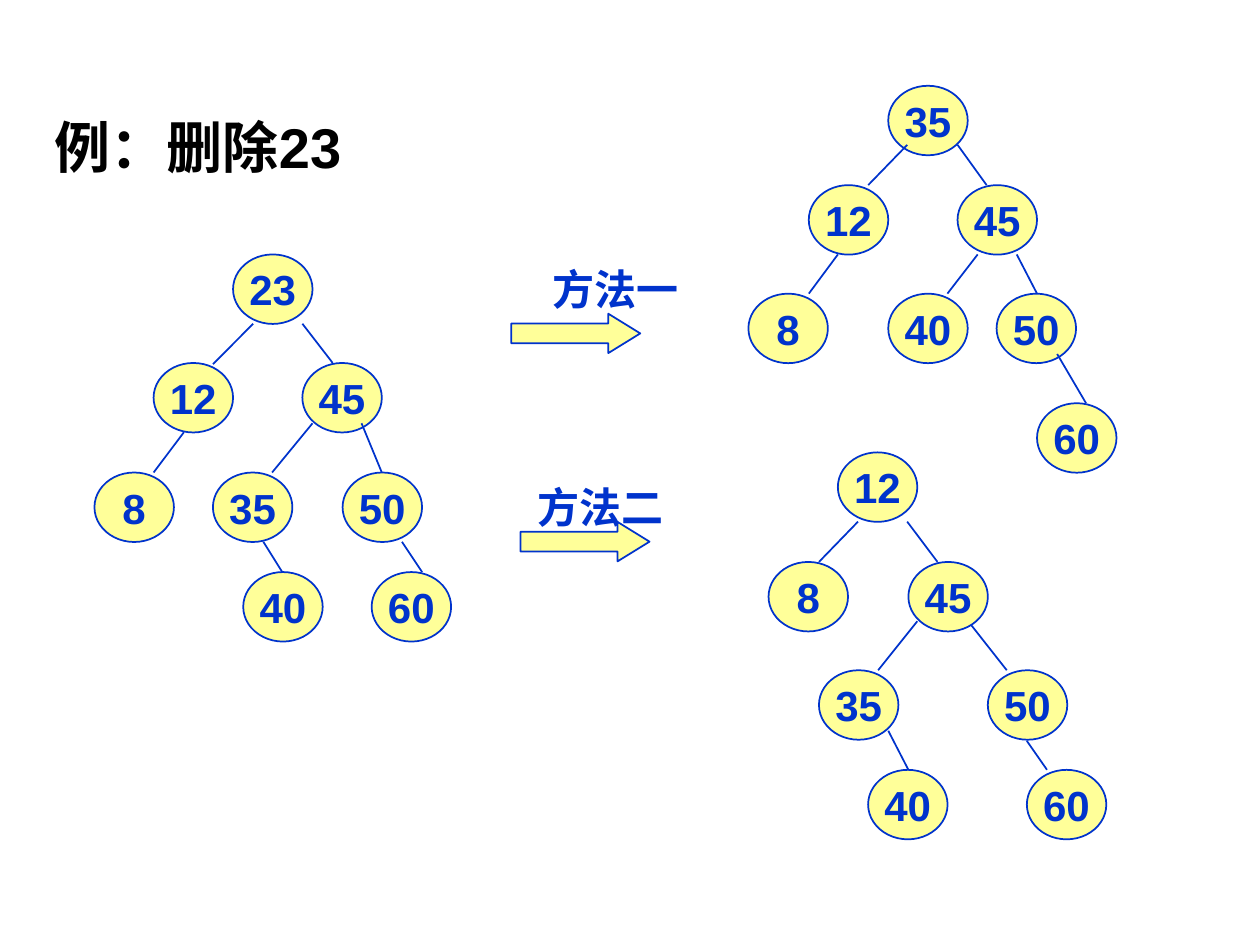
from lxml import etree
from pptx import Presentation
from pptx.dml.color import RGBColor
from pptx.enum import shapes, text
from pptx.oxml import ns
from pptx.util import Pt

BLUE, CREAM = "0033CC", "FFFF99"


def color(fmt, hue):
    """Give a fill, line fill or font colour its hex value."""
    if hasattr(fmt, "solid"):
        fmt.solid()
        fmt = fmt.fore_color
    else:
        fmt = fmt.color
    fmt.rgb = RGBColor.from_string(hue)


def write(shape, words, size=24, hue=BLUE, align=text.PP_ALIGN.CENTER):
    """Set one bold line of text in a shape."""
    frame = shape.text_frame
    frame.text = words
    frame.word_wrap = False
    frame.vertical_anchor = text.MSO_ANCHOR.MIDDLE
    para = frame.paragraphs[0]
    para.alignment = align
    para.space_before = Pt(0)
    font = para.runs[0].font
    font.name, font.size, font.bold = "Arial", Pt(size), True
    color(font, hue)


deck = Presentation()
deck.slide_width, deck.slide_height = Pt(720), Pt(540)
slide = deck.slides.add_slide(deck.slide_layouts[1])

# Heading in the body placeholder, without a bullet
title = slide.shapes.title
title.element.getparent().remove(title.element)
body = slide.placeholders[1]
body.left, body.top, body.width, body.height = Pt(24), Pt(60.5), Pt(672), Pt(402)
write(body, "例：删除23", 32, "000000", text.PP_ALIGN.LEFT)
body.text_frame.word_wrap = True
body.text_frame.vertical_anchor = text.MSO_ANCHOR.TOP
props = body.text_frame.paragraphs[0]._p.get_or_add_pPr()
props.set("marL", str(Pt(27)))
props.set("indent", str(Pt(-27)))
etree.SubElement(props, ns.qn("a:buNone"))

# Methods: label, its left, top and width, then the arrow's left and top
methods = [
    ("方法一", 286.6, 151.2, 130.3, 292.2, 179.3),
    ("方法二", 275, 275.8, 136.1, 297.5, 298.3),
]
for words, left, top, width, tip, level in methods:
    label = slide.shapes.add_textbox(Pt(left), Pt(top), Pt(width), Pt(28))
    write(label, words)
    arrow = slide.shapes.add_shape(
        shapes.MSO_SHAPE.RIGHT_ARROW, Pt(tip), Pt(level), Pt(73.7), Pt(22.5))
    arrow.adjustments[0], arrow.adjustments[1] = 0.5, 0.81
    arrow.shadow.inherit = False
    color(arrow.fill, CREAM)
    color(arrow.line.fill, BLUE)
    arrow.line.width = Pt(1)

# Trees: rows of nodes (top, {key: left}) and edges (x1, y1, x2, y2)
start = (
    [(145.4, {"23": 133.2}),
     (207.4, {"12": 87.8, "45": 172.8}),
     (270, {"8": 54, "35": 121.7, "50": 195.8}),
     (326.9, {"40": 139, "60": 212.4})],
    [(144.7, 185, 121.7, 208.1), (172.8, 185, 190.1, 207.4),
     (105.1, 247, 87.8, 270), (178.6, 241.9, 155.5, 270),
     (206.6, 241.9, 218.2, 270), (150.5, 309.6, 161.3, 326.9),
     (229.7, 309.6, 241.2, 326.9)],
)
first = (
    [(49, {"35": 507.6}),
     (105.8, {"12": 462.2, "45": 547.2}),
     (167.8, {"8": 427.7, "40": 507.6, "50": 569.5}),
     (230.4, {"60": 592.6})],
    [(518.4, 82.8, 496.1, 105.8), (547.2, 82.8, 563.8, 105.8),
     (478.8, 145.4, 462.2, 167.8), (558.7, 145.4, 541.4, 167.8),
     (581, 145.4, 592.6, 167.8), (604.1, 202.3, 620.6, 230.4)],
)
second = (
    [(258.5, {"12": 478.8}),
     (321.1, {"8": 439.2, "45": 519.1}),
     (383, {"35": 468, "50": 564.5}),
     (439.9, {"40": 496.1, "60": 586.8})],
    [(490.3, 298.1, 468, 321.1), (518.4, 298.1, 535.7, 321.1),
     (524.2, 355, 501.8, 383), (555, 357.2, 575.3, 383),
     (507.6, 417.6, 519.1, 439.9), (586.8, 423.4, 598.3, 439.9)],
)
for rows, edges in (start, first, second):
    tree = slide.shapes.add_group_shape().shapes
    for top, nodes in rows:
        for key, left in nodes.items():
            node = tree.add_shape(
                shapes.MSO_SHAPE.OVAL, Pt(left), Pt(top), Pt(45.4), Pt(39.7))
            node.shadow.inherit = False
            color(node.fill, CREAM)
            color(node.line.fill, BLUE)
            node.line.width = Pt(1)
            write(node, key)
    for edge in edges:
        link = tree.add_connector(
            shapes.MSO_CONNECTOR.STRAIGHT, *[Pt(end) for end in edge])
        color(link.line.fill, BLUE)
        link.line.width = Pt(1)
        etree.SubElement(link._element.spPr, ns.qn("a:effectLst"))

deck.save("out.pptx")
